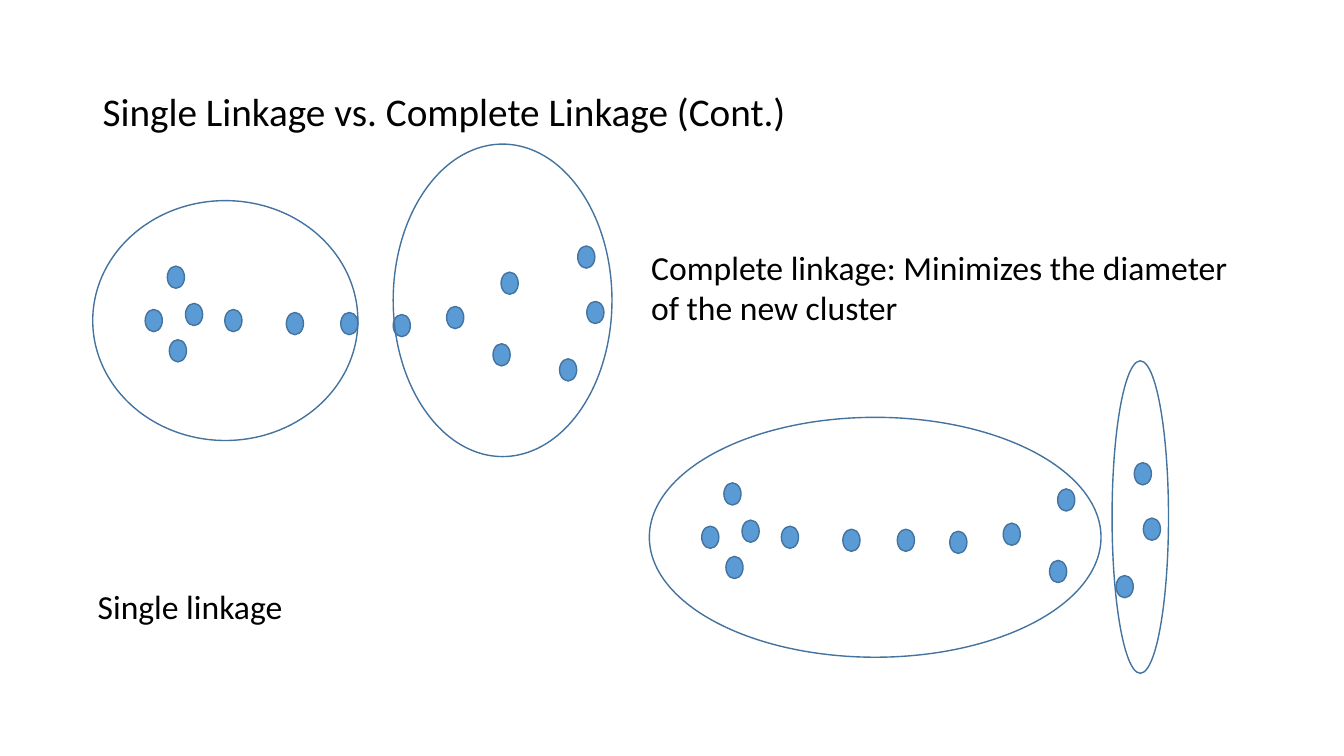
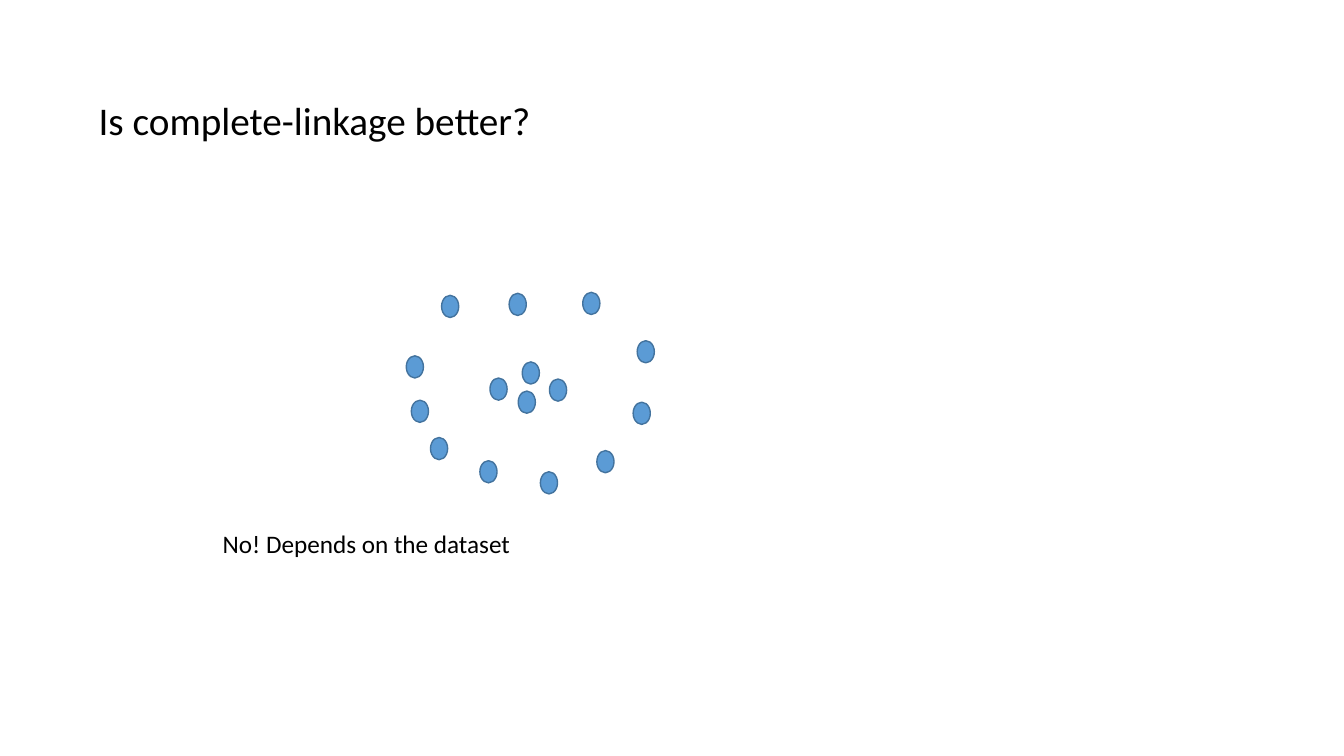
from pptx import Presentation
from pptx.dml.color import RGBColor
from pptx.enum.shapes import MSO_SHAPE
from pptx.enum.text import MSO_ANCHOR
from pptx.util import Inches, Pt

BLACK = RGBColor(0x00, 0x00, 0x00)
BLUE = RGBColor(0x5B, 0x9B, 0xD5)
NAVY = RGBColor(0x43, 0x73, 0x9E)
FONT = "Calibri"
DOT_W, DOT_H = 0.17, 0.22
SHIFT_X, SHIFT_Y = 5.52, 2.15

CHAIN = [
    (4.89, 3.41), (4.43, 3.04), (4.97, 2.7), (5.55, 3.56), (5.82, 2.99),
    (5.73, 2.44), (1.66, 2.64), (1.84, 3.01), (1.44, 3.07), (1.68, 3.37),
    (2.84, 3.1), (3.9, 3.12), (2.23, 3.07), (3.38, 3.1),
]
RING = [
    (4.38, 2.93), (5.05, 2.91), (5.78, 2.9), (6.32, 3.38), (6.28, 3.99),
    (5.92, 4.47), (5.36, 4.68), (4.76, 4.57), (4.27, 4.34), (4.08, 3.97),
    (4.03, 3.53),
]
CORE = [(5.18, 3.59), (5.45, 3.76), (5.14, 3.88), (4.86, 3.75)]


def add_text(slide, text, left, top, width, height, size=24, wrap=True):
    box = slide.shapes.add_textbox(
        Inches(left), Inches(top), Inches(width), Inches(height))
    frame = box.text_frame
    frame.word_wrap = wrap
    frame.text = text
    font = frame.paragraphs[0].runs[0].font
    font.name = FONT
    font.size = Pt(size)
    font.color.rgb = BLACK
    return frame


def add_title(slide, text, left, top):
    frame = add_text(slide, text, left, top, 11.5, 1.45, size=28)
    frame.vertical_anchor = MSO_ANCHOR.MIDDLE
    frame.paragraphs[0].line_spacing = 0.9


def add_oval(slide, left, top, width, height):
    oval = slide.shapes.add_shape(
        MSO_SHAPE.OVAL, Inches(left), Inches(top), Inches(width), Inches(height))
    oval.shadow.inherit = False
    oval.fill.background()
    oval.line.color.rgb = NAVY
    oval.line.width = Pt(1)
    return oval


def add_dots(slide, points, dx=0, dy=0):
    for left, top in points:
        dot = add_oval(slide, left + dx, top + dy, DOT_W, DOT_H)
        dot.fill.solid()
        dot.fill.fore_color.rgb = BLUE


def draw_links(slide):
    add_title(slide, "Single Linkage vs. Complete Linkage (Cont.)", 0.92, 0.4)
    add_dots(slide, CHAIN)
    add_oval(slide, 0.92, 1.99, 2.63, 2.38)
    add_oval(slide, 3.9, 1.43, 2.17, 3.1)
    add_dots(slide, CHAIN, SHIFT_X, SHIFT_Y)
    add_oval(slide, 6.44, 4.14, 4.48, 2.38)
    add_oval(slide, 11.03, 3.58, 0.56, 3.1)
    add_text(slide, "Complete linkage: Minimizes the diameter of the new cluster",
             6.36, 2.4, 6.05, 0.91)
    add_text(slide, "Single linkage", 0.87, 5.76, 6.05, 0.5)


def draw_ring(slide):
    add_title(slide, "Is complete-linkage better?", 0.88, 0.49)
    add_dots(slide, RING + CORE)
    add_text(slide, "No! Depends on the dataset", 2.11, 5.19, 3.09, 0.4,
             size=18, wrap=False)


def main():
    deck = Presentation()
    deck.slide_width = Inches(13.33)
    deck.slide_height = Inches(7.5)
    blank = deck.slide_layouts[6]
    for draw in (draw_links, draw_ring):
        draw(deck.slides.add_slide(blank))
    deck.save("out.pptx")


if __name__ == "__main__":
    main()
